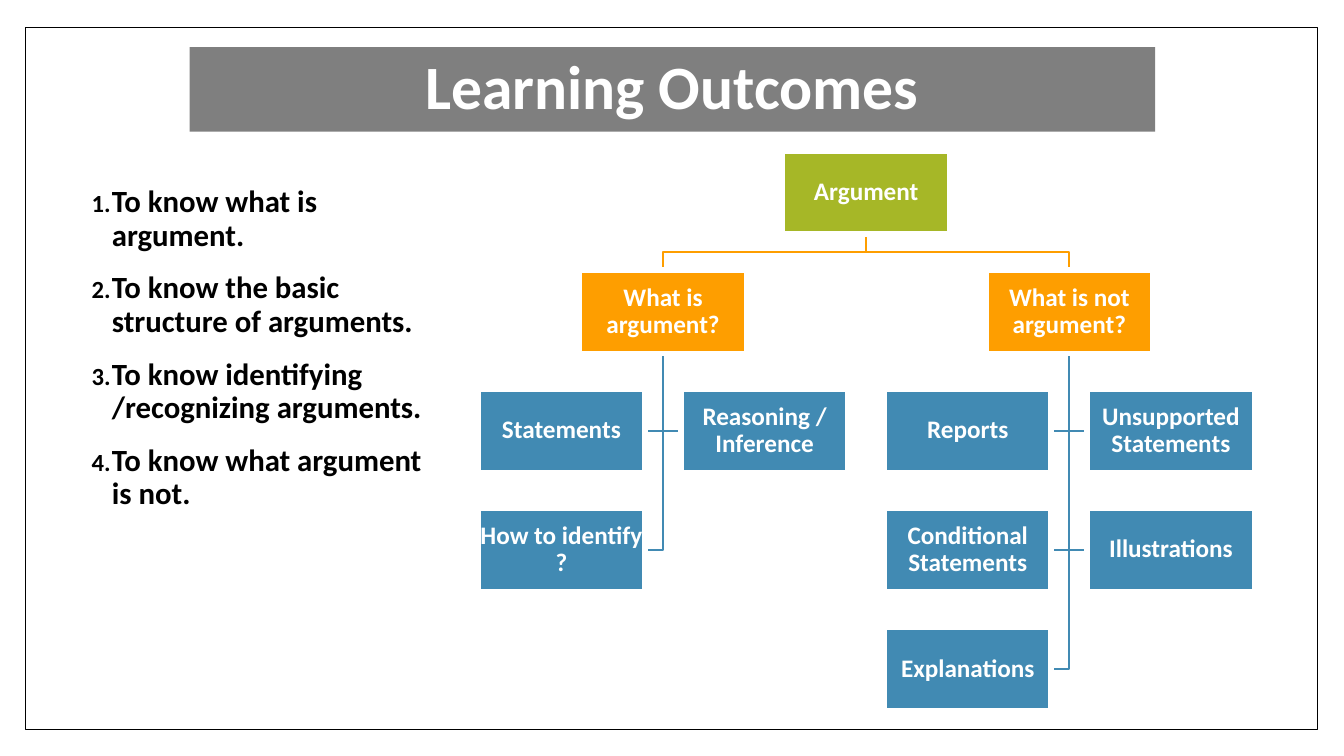
from lxml import etree
from pptx import Presentation
from pptx.dml.color import RGBColor
from pptx.enum import shapes as kinds, text as txt
from pptx.oxml import ns
from pptx.util import Cm, Pt

COLOURS = {
    "black": "000000",
    "white": "FFFFFF",
    "root": "A6B727",
    "branch": "FE9E00",
    "leaf": "418AB3",
}
FONT = "Calibri"
BOX_W, BOX_H = 4.22, 2.11
COLUMN_STEP, ROW_STEP = 5.12, 3.0
CHART_LEFT, CHART_TOP = 12.04, 3.8

OUTCOMES = [
    "To know what is argument.",
    "To know the basic structure of arguments.",
    "To know identifying /recognizing arguments.",
    "To know what argument is not.",
]
ROOT = ("Argument", 1.5)
# Branch wording, its column, and its leaves in reading order
BRANCHES = [
    ("What is argument?", 0.5,
     ["Statements", "Reasoning / Inference", "How to identify ?"]),
    ("What is not argument?", 2.5,
     ["Reports", "Unsupported Statements", "Conditional Statements",
      "Illustrations", "Explanations"]),
]


def rgb(name):
    return RGBColor.from_string(COLOURS[name])


def style(paragraph, size, colour):
    paragraph.line_spacing = 0.9
    paragraph.font.name = FONT
    paragraph.font.size = Pt(size)
    paragraph.font.bold = True
    paragraph.font.color.rgb = rgb(colour)


def place(shape, left, top, width, height):
    shape.left, shape.top = Cm(left), Cm(top)
    shape.width, shape.height = Cm(width), Cm(height)


def add_rectangle(slide, left, top, width, height, fill, line, line_width):
    rectangle = slide.shapes.add_shape(
        kinds.MSO_SHAPE.RECTANGLE, Cm(left), Cm(top), Cm(width), Cm(height))
    rectangle.shadow.inherit = False
    rectangle.fill.solid()
    rectangle.fill.fore_color.rgb = rgb(fill)
    rectangle.line.color.rgb = rgb(line)
    rectangle.line.width = Pt(line_width)
    return rectangle


def add_frame(slide):
    frame = add_rectangle(slide, 0.64, 0.69, 32.56, 17.7, "white", "black", 1)
    slide.shapes._spTree.insert(2, frame._element)  # behind the title


def set_title(slide, wording):
    title = slide.shapes.title
    place(title, 4.78, 1.19, 24.33, 2.13)
    title.fill.solid()
    title.fill.fore_color.rgb = rgb("black")
    colour = title._element.spPr.find(".//" + ns.qn("a:srgbClr"))
    etree.SubElement(colour, ns.qn("a:alpha"), val="50000")
    frame = title.text_frame
    frame.text = wording
    frame.auto_size = txt.MSO_AUTO_SIZE.NONE
    frame.vertical_anchor = txt.MSO_ANCHOR.MIDDLE
    frame.paragraphs[0].alignment = txt.PP_ALIGN.CENTER
    style(frame.paragraphs[0], 44, "white")


def number(paragraph):
    """Give the paragraph a hanging, smaller black number."""
    props = paragraph._p.get_or_add_pPr()
    props.set("marL", str(Cm(0.64)))
    props.set("indent", str(Cm(-0.51)))
    marks = [
        etree.Element(ns.qn("a:buClr")),
        etree.Element(ns.qn("a:buSzPct"), val="80000"),
        etree.Element(ns.qn("a:buFont"), typeface=FONT),
        etree.Element(ns.qn("a:buAutoNum"), type="arabicPeriod"),
    ]
    etree.SubElement(marks[0], ns.qn("a:srgbClr"), val=COLOURS["black"])
    for mark in marks:
        props.insert_element_before(mark, "a:tabLst", "a:defRPr", "a:extLst")


def add_outcomes(slide):
    frame = slide.shapes.add_textbox(
        Cm(1.93), Cm(4.57), Cm(9.02), Cm(11.25)).text_frame
    frame.word_wrap = True
    frame.text = "\n".join(OUTCOMES)
    for paragraph in frame.paragraphs:
        style(paragraph, 22, "black")
        paragraph.space_before = Pt(14)
        number(paragraph)


def centre_x(column):
    return CHART_LEFT + column * COLUMN_STEP + BOX_W / 2


def row_top(row):
    return CHART_TOP + row * ROW_STEP


def add_link(slide, points, colour):
    start, *bends = [(Cm(x), Cm(y)) for x, y in points]
    builder = slide.shapes.build_freeform(*start)
    builder.add_line_segments(bends, close=False)
    link = builder.convert_to_shape()
    link.shadow.inherit = False
    link.fill.background()
    link.line.color.rgb = rgb(colour)
    link.line.width = Pt(1.5)


def add_box(slide, wording, column, row, colour):
    box = add_rectangle(slide, centre_x(column) - BOX_W / 2, row_top(row),
                        BOX_W, BOX_H, colour, "white", 4.25)
    frame = box.text_frame
    frame.margin_left = frame.margin_right = Cm(0.03)
    frame.margin_top = frame.margin_bottom = Cm(0.03)
    frame.word_wrap = True
    frame.vertical_anchor = txt.MSO_ANCHOR.MIDDLE
    frame.text = wording
    frame.paragraphs[0].alignment = txt.PP_ALIGN.CENTER
    style(frame.paragraphs[0], 18, "white")


def leaf_cells(branch_column, leaves):
    """Yield each leaf with its side (-1 left, 1 right), column and row."""
    for index, leaf in enumerate(leaves):
        side = 1 if index % 2 else -1
        yield leaf, side, branch_column + side / 2, 2 + index // 2


def add_argument_tree(slide):
    root_wording, root_column = ROOT
    root_x, root_bottom = centre_x(root_column), row_top(0) + BOX_H
    bar_y = (root_bottom + row_top(1)) / 2
    trunk_top = row_top(1) + BOX_H

    for _, column, leaves in BRANCHES:
        trunk_x = centre_x(column)
        add_link(slide, [(root_x, root_bottom), (root_x, bar_y),
                         (trunk_x, bar_y), (trunk_x, row_top(1))], "branch")
        for _, side, leaf_column, row in leaf_cells(column, leaves):
            leaf_y = row_top(row) + BOX_H / 2
            leaf_edge = centre_x(leaf_column) - side * BOX_W / 2
            add_link(slide, [(trunk_x, trunk_top), (trunk_x, leaf_y),
                             (leaf_edge, leaf_y)], "leaf")

    add_box(slide, root_wording, root_column, 0, "root")
    for wording, column, leaves in BRANCHES:
        add_box(slide, wording, column, 1, "branch")
        for leaf, _, leaf_column, row in leaf_cells(column, leaves):
            add_box(slide, leaf, leaf_column, row, "leaf")


def main():
    deck = Presentation()
    deck.slide_width, deck.slide_height = Cm(33.87), Cm(19.05)
    slide = deck.slides.add_slide(deck.slide_layouts[5])
    add_frame(slide)
    set_title(slide, "Learning Outcomes")
    add_outcomes(slide)
    add_argument_tree(slide)
    deck.save("out.pptx")


if __name__ == "__main__":
    main()
